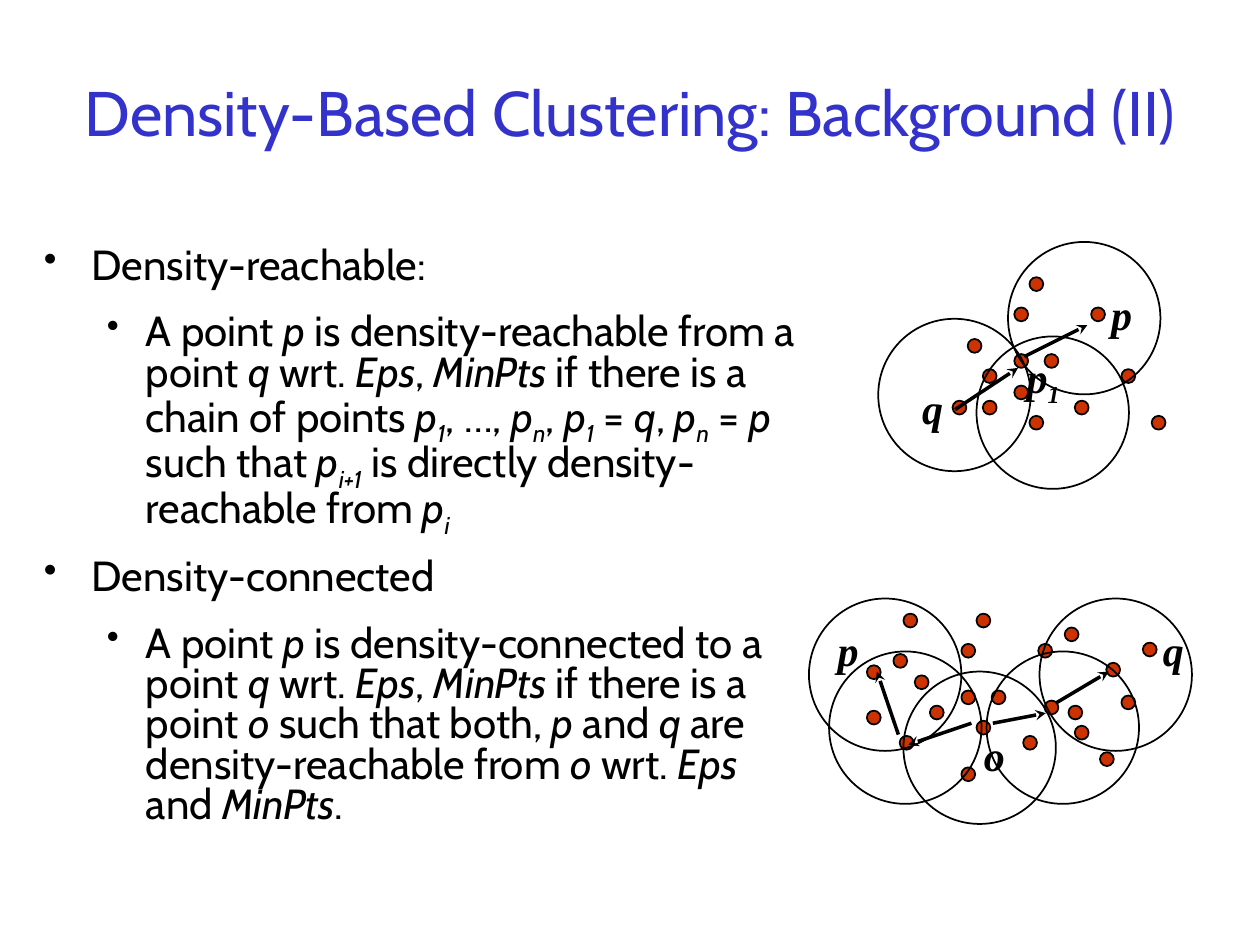
from lxml import etree
from pptx import Presentation
from pptx.dml.color import RGBColor
from pptx.enum.shapes import MSO_CONNECTOR, MSO_SHAPE
from pptx.enum.text import MSO_ANCHOR, PP_ALIGN
from pptx.oxml.ns import qn
from pptx.util import Emu, Pt

PX = 9144
DOT = 11
CIRCLE = 121
ELLIPSE = MSO_SHAPE.OVAL
STRAIGHT = MSO_CONNECTOR.STRAIGHT
CENTER = PP_ALIGN.CENTER
MIDDLE = MSO_ANCHOR.MIDDLE
COLORS = {"title": "3333CC", "ink": "000000", "point": "CC3300"}
BODY_FONT = "Cabin"
LABEL_FONT = "Times New Roman"

LEVELS = [
    {"margin": 38, "indent": -38, "bullet_size": 90},
    {"margin": 81, "indent": -31, "bullet_size": 85},
]
DEFINITIONS = [
    (0, "Density-reachable:"),
    (1, "A point *p* is density-reachable from a point *q* wrt. *Eps*, *MinPts* "
        "if there is a chain of points *p_1_*, …, *p_n_*, *p_1_* = *q*, *p_n_* = *p* "
        "such that *p_i+1_* is directly density-reachable from *p_i_*"),
    (0, "Density-connected"),
    (1, "A point *p* is density-connected to a point *q* wrt. *Eps*, *MinPts* "
        "if there is a point *o *such that both, *p* and *q* are "
        "density-reachable from *o* wrt. *Eps* and *MinPts*."),
]
REACHABLE = {
    "points": [(768, 269), (805, 281), (805, 244), (756, 318), (780, 293),
               (780, 318), (817, 330), (817, 220), (890, 293), (866, 244),
               (805, 306), (829, 281), (853, 318), (914, 330)],
    "neighbourhoods": [(775, 267), (697, 253), (800, 192)],
    "labels": [("*p*", 872, 224, 42), ("*q*", 722, 299, 42), ("*p_1_*", 805, 274, 67)],
    "arrows": [(813, 283, 863, 258), (758, 325, 808, 292)],
}
CONNECTED = {
    "points": [(726, 536), (763, 548), (763, 511), (714, 584), (738, 560),
               (763, 609), (775, 572), (775, 487), (848, 560), (824, 511),
               (688, 564), (787, 548), (812, 584), (873, 597), (890, 552),
               (829, 556), (853, 576), (907, 510), (845, 498), (878, 526),
               (709, 519), (688, 528), (717, 487)],
    "neighbourhoods": [(658, 517), (717, 533), (783, 517), (825, 475), (642, 475)],
    "labels": [("*p*", 655, 491, 42), ("*q*", 913, 491, 42), ("*o*", 771, 574, 42)],
    "arrows": [(771, 574, 721, 591), (788, 574, 830, 566),
               (713, 583, 696, 533), (838, 558, 880, 533)],
}


def px(*lengths):
    return [Emu(length * PX) for length in lengths]


def color(name):
    return RGBColor.from_string(COLORS[name])


def add_text_frame(shapes, *box):
    frame = shapes.add_textbox(*px(*box)).text_frame
    frame.word_wrap = True
    return frame


def style_paragraph(paragraph, font, size, ink="ink"):
    paragraph.font.name = font
    paragraph.font.size = Pt(size)
    paragraph.font.color.rgb = color(ink)


def add_marked_runs(paragraph, marked):
    for i, segment in enumerate(marked.split("*")):
        for j, piece in enumerate(segment.split("_")):
            if piece:
                run = paragraph.add_run()
                run.text = piece
                if i % 2:
                    run.font.italic = True
                if j % 2:
                    run.font._element.set("baseline", "-25000")


def add_bullet(paragraph, margin, indent, bullet_size):
    properties = paragraph._p.get_or_add_pPr()
    properties.set("marL", str(margin * PX))
    properties.set("indent", str(indent * PX))
    bullet_color = etree.SubElement(properties, qn("a:buClr"))
    etree.SubElement(bullet_color, qn("a:srgbClr"), val=COLORS["ink"])
    etree.SubElement(properties, qn("a:buSzPct"), val=str(bullet_size * 1000))
    etree.SubElement(properties, qn("a:buChar"), char="•")


def add_title(shapes):
    frame = add_text_frame(shapes, 25, 42, 950, 92)
    frame.vertical_anchor = MIDDLE
    title = frame.paragraphs[0]
    title.text = "Density-Based Clustering: Background (II)"
    title.alignment = CENTER
    style_paragraph(title, BODY_FONT, 36, "title")


def add_definitions(shapes):
    frame = add_text_frame(shapes, 25, 192, 617, 508)
    for i, (level, marked) in enumerate(DEFINITIONS):
        paragraph = frame.add_paragraph() if i else frame.paragraphs[0]
        paragraph.level = level
        add_bullet(paragraph, **LEVELS[level])
        paragraph.line_spacing = 0.8
        if i:
            paragraph.space_before = Pt(15)
        style_paragraph(paragraph, BODY_FONT, 24)
        add_marked_runs(paragraph, marked)


def add_ellipse(shapes, left, top, size, fill=None):
    ellipse = shapes.add_shape(ELLIPSE, *px(left, top, size, size))
    ellipse.shadow.inherit = False
    ellipse.line.color.rgb = color("ink")
    ellipse.line.width = Pt(1)
    if fill:
        ellipse.fill.solid()
        ellipse.fill.fore_color.rgb = color(fill)
    else:
        ellipse.fill.background()


def add_label(shapes, marked, left, top, width):
    paragraph = add_text_frame(shapes, left, top, width, 50).paragraphs[0]
    style_paragraph(paragraph, LABEL_FONT, 24)
    paragraph.font.bold = True
    add_marked_runs(paragraph, marked)


def add_arrow(shapes, *ends):
    arrow = shapes.add_connector(STRAIGHT, *px(*ends))
    arrow.line.color.rgb = color("ink")
    arrow.line.width = Pt(2)
    etree.SubElement(arrow.line._get_or_add_ln(), qn("a:tailEnd"), type="stealth")
    etree.SubElement(arrow._element.spPr, qn("a:effectLst"))


def add_diagram(shapes, points, neighbourhoods, labels, arrows):
    for point in points:
        add_ellipse(shapes, *point, DOT, "point")
    for neighbourhood in neighbourhoods:
        add_ellipse(shapes, *neighbourhood, CIRCLE)
    for label in labels:
        add_label(shapes, *label)
    for arrow in arrows:
        add_arrow(shapes, *arrow)


def main():
    deck = Presentation()
    deck.slide_width, deck.slide_height = px(1000, 750)
    shapes = deck.slides.add_slide(deck.slide_layouts[6]).shapes
    add_title(shapes)
    add_definitions(shapes)
    add_diagram(shapes, **REACHABLE)
    add_diagram(shapes.add_group_shape().shapes, **CONNECTED)
    deck.save("out.pptx")


if __name__ == "__main__":
    main()
